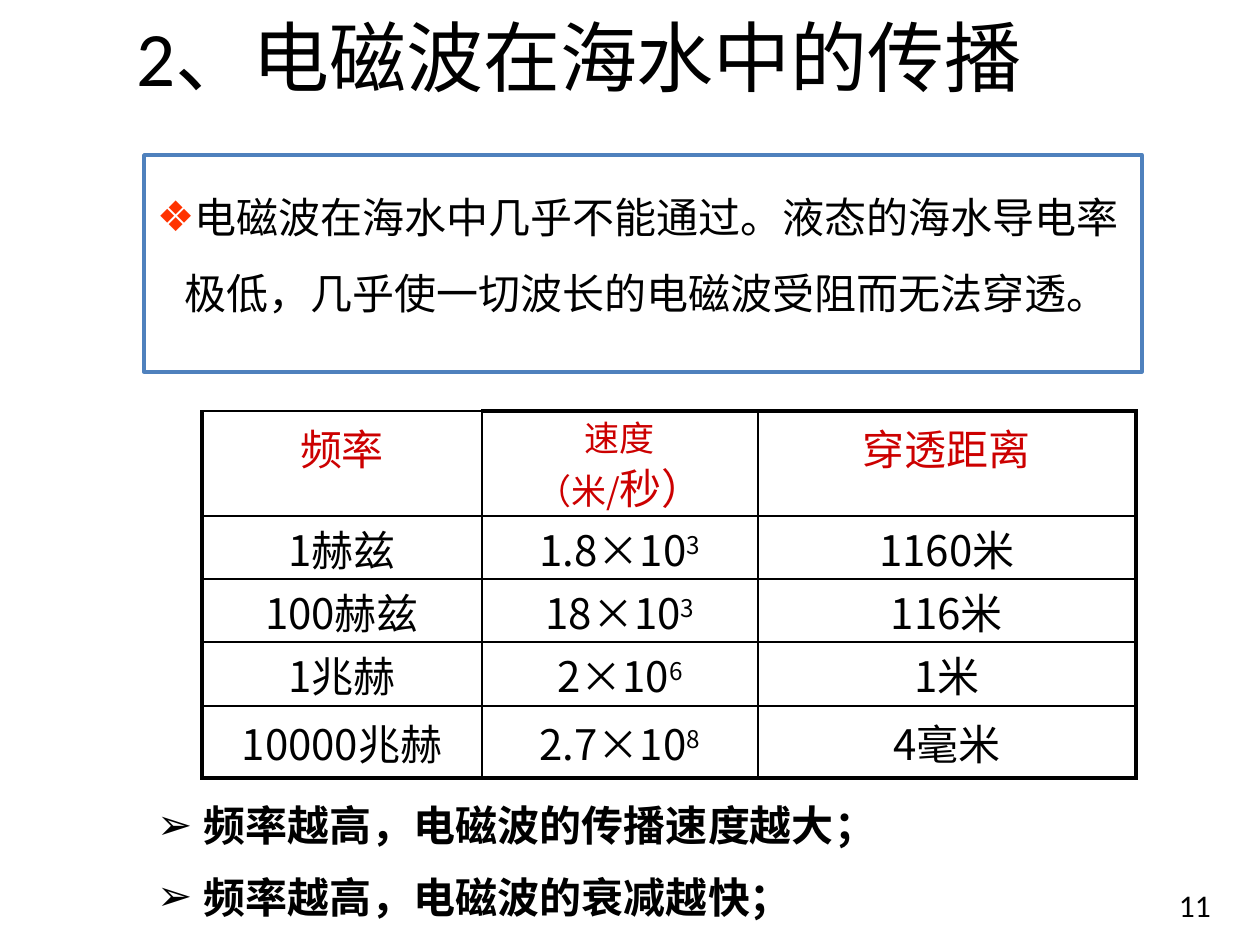
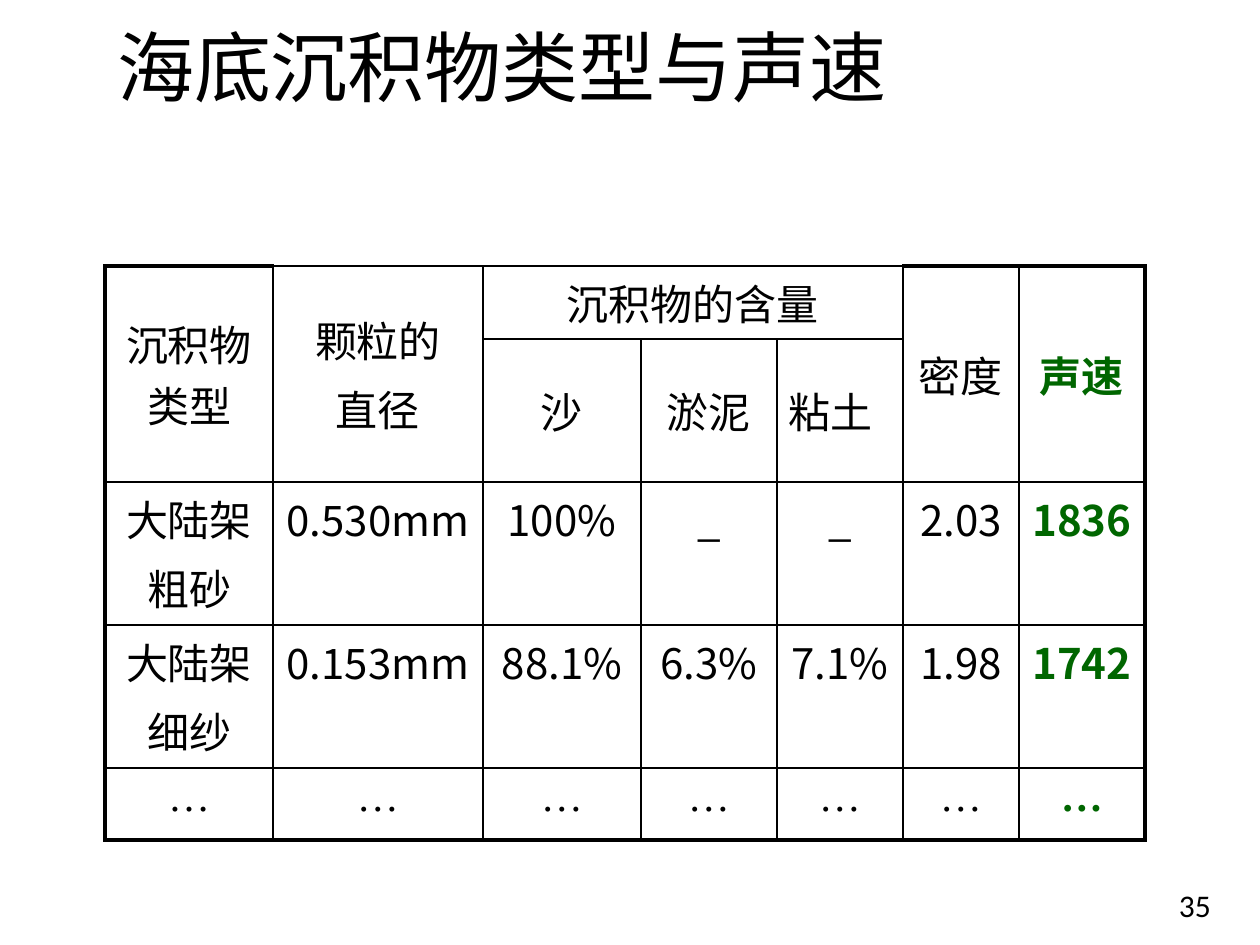
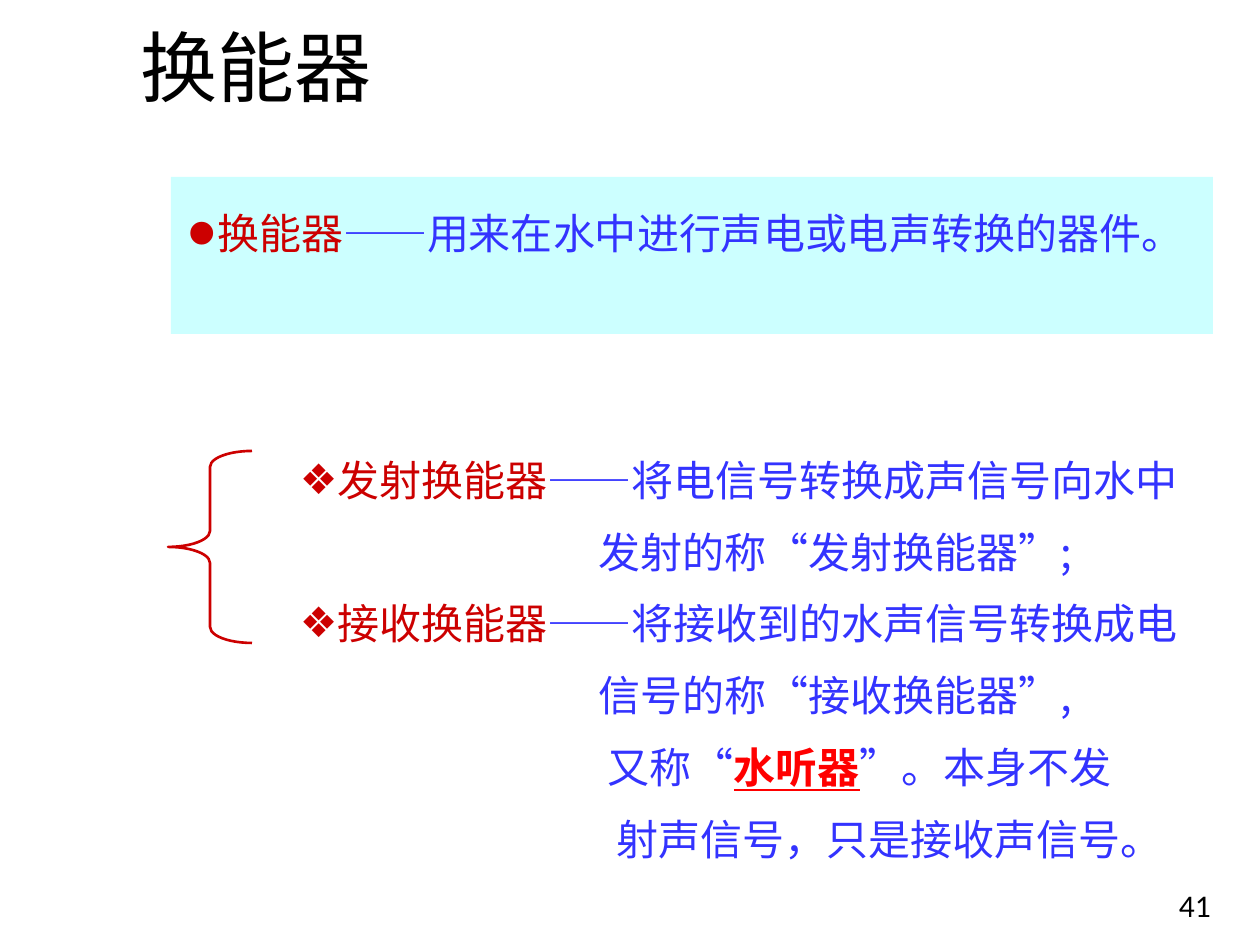
from dataclasses import dataclass

import lxml.etree
import pptx
import pptx.dml.color
import pptx.enum.shapes
import pptx.enum.text
import pptx.oxml.ns
import pptx.util

ALIGN = pptx.enum.text.PP_ALIGN
ANCHOR = pptx.enum.text.MSO_ANCHOR
SHAPE = pptx.enum.shapes.MSO_SHAPE


@dataclass(frozen=True)
class Theme:
    black: str = "000000"
    white: str = "FFFFFF"
    red: str = "CC0000"
    bright_red: str = "FF0000"
    orange: str = "FF3300"
    blue: str = "3333FF"
    frame: str = "4F81BD"
    band: str = "CCFFFF"
    green: str = "006600"
    latin: str = "Calibri"
    chinese: str = "Noto Sans CJK SC"
    serif: str = "Times New Roman"
    title: int = 44
    body: int = 24
    small: int = 20
    number: int = 18
    line: int = 29
    loose_line: float = 43.5
    gap: int = 12
    cell_gap: float = 4.8
    thin: float = 1
    thick: float = 2.25


T = Theme()
SLIDE = (1260, 945)
BREAK = "\v"

TITLES = [("2、电磁波在海水中的传播", 136, 10, 11),
          ("海底沉积物类型与声速", 117, 20, 35),
          ("换能器", 141, 20, 41)]

SEAWATER = "电磁波在海水中几乎不能通过。液态的海水导电率极低，几乎使一切波长的电磁波受阻而无法穿透。"
FINDINGS = ["频率越高，电磁波的传播速度越大；", "频率越高，电磁波的衰减越快；"]
WAVE_HEADER = ["频率", [("速度", {"size": T.small}), BREAK, ("（米/", {"size": T.small}), "秒）"],
               "穿透距离"]
WAVES = [("1赫兹", "1.8", "3", "1160米"),
         ("100赫兹", "18", "3", "116米"),
         ("1兆赫", "2", "6", "1米"),
         ("10000兆赫", "2.7", "8", "4毫米")]
WAVE_COLUMNS = [280, 276, 378]
WAVE_ROWS = [105, 63, 63, 64, 72]

# A line feed inside a cell starts a new paragraph.
SEDIMENTS = [
    ("沉积物类型", "颗粒的\n直径", "沉积物的含量", "", "", "密度", "声速"),
    ("", "", "沙", "淤泥", "粘土", "", ""),
    ("大陆架\n粗砂", "0.530mm", "100%", "_", "_", "2.03", "1836"),
    ("大陆架\n细纱", "0.153mm", "88.1%", "6.3%", "7.1%", "1.98", "1742"),
    ("…",) * 7,
]
SEDIMENT_MERGES = [(0, 0, 1, 0), (0, 1, 1, 1), (0, 2, 0, 4), (0, 5, 1, 5), (0, 6, 1, 6)]
SEDIMENT_COLUMNS = [168, 210, 158, 136, 126, 116, 126]
SEDIMENT_ROWS = [73, 143, 143, 143, 72]

RED = {"color": T.red}
SERIF = {"name": T.serif}
DASH = ("——", SERIF)
OPEN, CLOSE = ("“", SERIF), ("”", SERIF)
DEFINITION = [("换能器", RED), DASH, "用来在水中进行声电或电声转换的器件。"]
HYDROPHONE = ("水听器", {"color": T.bright_red, "bold": True, "underline": True})
# Each line: its left indent, whether it starts with a bullet, its runs.
TRANSDUCERS = [
    (38, True, [("发射换能器", RED), DASH, "将电信号转换成声信号向水中"]),
    (299, False, ["发射的称", OPEN, "发射换能器", CLOSE, ";"]),
    (38, True, [("接收换能器", RED), DASH, "将接收到的水声信号转换成电"]),
    (299, False, ["信号的称", OPEN, "接收换能器", CLOSE, ","]),
    (308, False, ["又称", OPEN, HYDROPHONE, CLOSE, "。本身不发"]),
    (317, False, ["射声信号，只是接收声信号。"]),
]


def px(length):
    return pptx.util.Emu(round(length * 914400 / 126))


def rgb(color):
    return pptx.dml.color.RGBColor.from_string(color)


def add_xml(parent, tag, **attributes):
    return lxml.etree.SubElement(parent, pptx.oxml.ns.qn(tag), attributes)


def set_font(font, name=None, size=None, color=None, bold=None, underline=None, raised=None):
    """Set only the given properties; a name also sets the East Asian font."""
    if size:
        font.size = pptx.util.Pt(size)
    if color:
        font.color.rgb = rgb(color)
    if bold is not None:
        font.bold = bold
    if underline is not None:
        font.underline = underline
    if name:
        font.name = name
        east_asian = lxml.etree.Element(pptx.oxml.ns.qn("a:ea"), typeface=T.chinese)
        font._rPr.find(pptx.oxml.ns.qn("a:latin")).addnext(east_asian)
    if raised:
        font._rPr.set("baseline", str(raised * 1000))


def add_bullet(paragraph, char, margin, color, size=100):
    properties = paragraph._p.get_or_add_pPr()
    properties.set("marL", str(px(margin)))
    properties.set("indent", str(-px(margin)))
    add_xml(add_xml(properties, "a:buClr"), "a:srgbClr", val=color)
    add_xml(properties, "a:buSzPct", val=str(size * 1000))
    add_xml(properties, "a:buFont", typeface="Arial")
    add_xml(properties, "a:buChar", char=char)


def write(paragraph, runs, line=None, before=0, align=ALIGN.LEFT, **font):
    """Fill a paragraph; a run is a string or a string with its own font settings."""
    set_font(paragraph.font, **font)
    paragraph.alignment = align
    if line:
        paragraph.line_spacing = pptx.util.Pt(line)
    paragraph.space_before = pptx.util.Pt(before)
    for part in [runs] if isinstance(runs, str) else runs:
        if part == BREAK:
            paragraph.add_line_break()
            continue
        text, own = (part, {}) if isinstance(part, str) else part
        run = paragraph.add_run()
        run.text = text
        set_font(run.font, **own)


def paragraphs(frame, count):
    return [frame.paragraphs[0]] + [frame.add_paragraph() for _ in range(count - 1)]


def set_insets(holder, left, top, right, bottom):
    holder.margin_left, holder.margin_top = px(left), px(top)
    holder.margin_right, holder.margin_bottom = px(right), px(bottom)


def add_text(slide, left, top, width, height):
    frame = slide.shapes.add_textbox(px(left), px(top), px(width), px(height)).text_frame
    frame.word_wrap = True
    set_insets(frame, 0, 0, 0, 0)
    return frame


def add_outline(slide, kind, box, fill=None, line=None, width=1):
    shape = slide.shapes.add_shape(kind, *map(px, box))
    shape.shadow.inherit = False
    if fill:
        shape.fill.solid()
        shape.fill.fore_color.rgb = rgb(fill)
    else:
        shape.fill.background()
    if line:
        shape.line.color.rgb = rgb(line)
        shape.line.width = pptx.util.Pt(width)
    else:
        shape.line.fill.background()
    return shape


def add_slide(deck, title, left, top, number):
    slide = deck.slides.add_slide(deck.slide_layouts[6])
    heading = add_text(slide, left, top, 1050, 112)
    write(heading.paragraphs[0], title, name=T.latin, size=T.title, color=T.black)
    page = add_text(slide, 1179, 886, 75, 50)
    write(page.paragraphs[0], str(number), name=T.latin, size=T.number, color=T.black)
    return slide


def add_grid(slide, left, top, columns, rows, thin_top):
    """Add a white table with a thick outer edge, save for the top of thin_top columns."""
    table = slide.shapes.add_table(len(rows), len(columns), px(left), px(top),
                                   px(sum(columns)), px(sum(rows))).table
    table.first_row = table.horz_banding = False
    for column, width in zip(table.columns, columns):
        column.width = px(width)
    for row, height in zip(table.rows, rows):
        row.height = px(height)
    for r in range(len(rows)):
        for c in range(len(columns)):
            cell = table.cell(r, c)
            properties = cell._tc.get_or_add_tcPr()
            outer = {"L": c == 0, "R": c == len(columns) - 1,
                     "T": r == 0 and c not in thin_top, "B": r == len(rows) - 1}
            for side, is_outer in outer.items():
                weight = pptx.util.Pt(T.thick if is_outer else T.thin)
                edge = add_xml(properties, f"a:ln{side}", w=str(weight))
                add_xml(add_xml(edge, "a:solidFill"), "a:srgbClr", val=T.black)
            cell.fill.solid()
            cell.fill.fore_color.rgb = rgb(T.white)
    return table


def build_waves(deck):
    slide = add_slide(deck, *TITLES[0])
    box = add_outline(slide, SHAPE.RECTANGLE, (144, 155, 998, 217), T.white, T.frame, 2)
    frame = box.text_frame
    frame.word_wrap = True
    frame.vertical_anchor = ANCHOR.TOP
    set_insets(frame, 13, 11, 13, 6)
    add_bullet(frame.paragraphs[0], "❖", 28, T.orange)
    write(frame.paragraphs[0], SEAWATER, T.loose_line,
          name=T.latin, size=T.body, color=T.black)

    table = add_grid(slide, 202, 411, WAVE_COLUMNS, WAVE_ROWS, thin_top=[0])
    rows = [WAVE_HEADER] + [
        [frequency, [f"{factor}×10", (power, {"raised": 30})], distance]
        for frequency, factor, power, distance in WAVES]
    for r, row in enumerate(rows):
        for c, content in enumerate(row):
            cell = table.cell(r, c)
            set_insets(cell, 13, 6 if r in (0, len(rows) - 1) else 2, 13, 0)
            paragraph = cell.text_frame.paragraphs[0]
            write(paragraph, content, align=ALIGN.CENTER, name=T.chinese, size=T.body,
                  color=T.black if r else T.red)
            if BREAK in content:
                paragraph.line_spacing = 0.9
                cell.margin_top = px(4)

    findings = add_text(slide, 157, 799, 722, 122)
    for i, paragraph in enumerate(paragraphs(findings, len(FINDINGS))):
        add_bullet(paragraph, "➢", 47, T.black)
        write(paragraph, FINDINGS[i], T.line, T.gap if i else 0,
              name=T.chinese, size=T.body, color=T.black, bold=True)


def build_sediments(deck):
    slide = add_slide(deck, *TITLES[1])
    table = add_grid(slide, 105, 266, SEDIMENT_COLUMNS, SEDIMENT_ROWS, thin_top=[1, 2, 3, 4])
    for r1, c1, r2, c2 in SEDIMENT_MERGES:
        table.cell(r1, c1).merge(table.cell(r2, c2))
    speed = len(SEDIMENT_COLUMNS) - 1
    for r, row in enumerate(SEDIMENTS):
        for c, content in enumerate(row):
            cell = table.cell(r, c)
            if cell.is_spanned:
                continue
            set_insets(cell, 12, 6, 12, 6)
            cell.vertical_anchor = ANCHOR.MIDDLE if r < 2 else ANCHOR.TOP
            lines = content.split("\n")
            for i, paragraph in enumerate(paragraphs(cell.text_frame, len(lines))):
                write(paragraph, lines[i], before=T.cell_gap if i else 0,
                      align=ALIGN.LEFT if content == "粘土" else ALIGN.CENTER,
                      name=T.serif if content == "…" else T.chinese, size=T.body,
                      color=T.green if c == speed else T.black, bold=c == speed)


def build_transducers(deck):
    slide = add_slide(deck, *TITLES[2])
    body = {"name": T.chinese, "size": T.body, "color": T.blue}
    add_outline(slide, SHAPE.RECTANGLE, (171, 177, 1042, 157), T.band)
    definition = add_text(slide, 187, 207, 986, 108).paragraphs[0]
    add_bullet(definition, "•", 30, T.red, 200)
    write(definition, DEFINITION, T.line, **body)

    brace = add_outline(slide, SHAPE.LEFT_BRACE, (168, 451, 84, 192), line=T.red, width=1.5)
    brace.adjustments[0] = 0.19
    brace.adjustments[1] = 0.5

    kinds = add_text(slide, 300, 454, 910, 412)
    for i, paragraph in enumerate(paragraphs(kinds, len(TRANSDUCERS))):
        margin, has_bullet, runs = TRANSDUCERS[i]
        if has_bullet:
            add_bullet(paragraph, "❖", margin, T.red)
        else:
            paragraph._p.get_or_add_pPr().set("marL", str(px(margin)))
        write(paragraph, runs, T.line, T.gap if i else 0, **body)


def main():
    deck = pptx.Presentation()
    deck.slide_width, deck.slide_height = map(px, SLIDE)
    build_waves(deck)
    build_sediments(deck)
    build_transducers(deck)
    deck.save("out.pptx")


if __name__ == "__main__":
    main()
